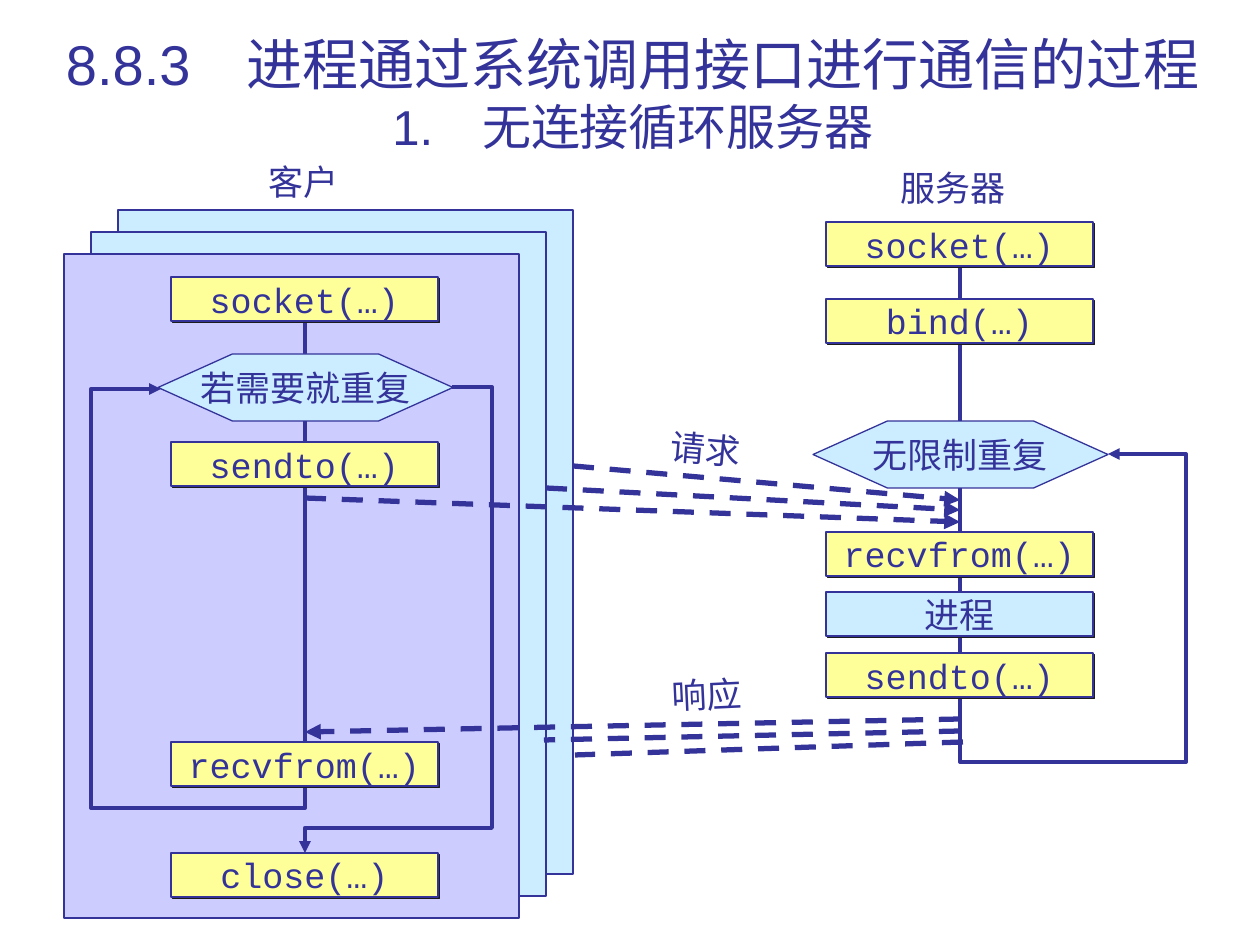
"""Build the slide on connectionless iterative server system calls."""
from lxml.etree import SubElement
from pptx import Presentation
from pptx.dml.color import RGBColor
from pptx.enum.dml import MSO_LINE
from pptx.enum.shapes import MSO_CONNECTOR, MSO_SHAPE
from pptx.enum.text import MSO_ANCHOR, MSO_AUTO_SIZE, PP_ALIGN
from pptx.oxml.ns import qn
from pptx.util import Pt

PX = 914400 / 126
NAVY = RGBColor(0x33, 0x33, 0x99)
YELLOW = RGBColor(0xFF, 0xFF, 0x99)
SKY = RGBColor(0xCC, 0xEC, 0xFF)
LAVENDER = RGBColor(0xCC, 0xCC, 0xFF)
SHADOW = RGBColor(0x1C, 0x1C, 0x1C)


def write(frame, text, sizes=(20,), font="Courier New", align=PP_ALIGN.CENTER,
          anchor=MSO_ANCHOR.MIDDLE, wrap=False):
    frame.word_wrap = wrap
    frame.auto_size = MSO_AUTO_SIZE.NONE
    frame.vertical_anchor = anchor
    paragraph = frame.paragraphs[0]
    paragraph.alignment = align
    for number, (line, size) in enumerate(zip(text.split("\n"), sizes)):
        if number:
            paragraph.add_line_break()
        run = paragraph.add_run()
        run.text = line
        run.font.size = Pt(size)
        run.font.name = font
        run.font.color.rgb = NAVY


def stroke(shape, width, arrow=False):
    shape.line.color.rgb = NAVY
    shape.line.width = Pt(width)
    if arrow:
        SubElement(shape.line._get_or_add_ln(), qn("a:tailEnd"), type="triangle")


prs = Presentation()
prs.slide_width, prs.slide_height = round(1260 * PX), round(945 * PX)
slide = prs.slides.add_slide(prs.slide_layouts[5])
shapes = slide.shapes

title = shapes.title
title.left, title.top, title.width, title.height = [
    round(v * PX) for v in (34, 26, 1198, 136)]
write(title.text_frame, "8.8.3　进程通过系统调用接口进行通信的过程\n1.　无连接循环服务器",
      sizes=(32, 28), font="Arial", anchor=MSO_ANCHOR.BOTTOM, wrap=True)

for left, top, color in ((118, 210, SKY), (91, 232, SKY), (64, 254, LAVENDER)):
    client_panel = shapes.add_shape(
        MSO_SHAPE.RECTANGLE, *[round(v * PX) for v in (left, top, 455, 664)])
    client_panel.shadow.inherit = False
    client_panel.fill.solid()
    client_panel.fill.fore_color.rgb = color
    stroke(client_panel, 0.75)

CLIENT_X, SERVER_X = 305, 960
flows = (
    ((CLIENT_X, 321), (CLIENT_X, 808), (91, 808), (91, 389), (161, 389)),
    ((SERVER_X, 267), (SERVER_X, 762), (1186, 762), (1186, 454), (1108, 454)),
    ((452, 387), (492, 387), (492, 828), (CLIENT_X, 828), (CLIENT_X, 853)),
)
for start, *corners in flows:
    builder = shapes.build_freeform(*start, scale=PX)
    builder.add_line_segments(corners, close=False)
    flow = builder.convert_to_shape()
    flow.shadow.inherit = False
    flow.fill.background()
    stroke(flow, 2.25, arrow=True)

calls = (
    (CLIENT_X, 277, "socket(…)", YELLOW),
    (CLIENT_X, 442, "sendto(…)", YELLOW),
    (CLIENT_X, 742, "recvfrom(…)", YELLOW),
    (CLIENT_X, 853, "close(…)", YELLOW),
    (SERVER_X, 222, "socket(…)", YELLOW),
    (SERVER_X, 299, "bind(…)", YELLOW),
    (SERVER_X, 532, "recvfrom(…)", YELLOW),
    (SERVER_X, 592, "进程", SKY),
    (SERVER_X, 653, "sendto(…)", YELLOW),
)
for center, top, text, color in calls:
    call = shapes.add_shape(
        MSO_SHAPE.RECTANGLE, *[round(v * PX) for v in (center - 134, top, 267, 44)])
    call.shadow.inherit = False
    call.fill.solid()
    call.fill.fore_color.rgb = color
    stroke(call, 0.75)
    effects = call._element.spPr.find(qn("a:effectLst"))
    outer = SubElement(effects, qn("a:outerShdw"), dist=str(Pt(1.4)), dir="2700000",
                       algn="ctr", rotWithShape="0")
    SubElement(outer, qn("a:srgbClr"), val=str(SHADOW))
    write(call.text_frame, text)

for center, top, text in ((CLIENT_X, 354, "若需要就重复"), (SERVER_X, 421, "无限制重复")):
    loop = shapes.add_shape(
        MSO_SHAPE.HEXAGON, *[round(v * PX) for v in (center - 147, top, 295, 67)])
    loop.adjustments[0] = 1.11
    loop.shadow.inherit = False
    loop.fill.solid()
    loop.fill.fore_color.rgb = SKY
    stroke(loop, 0.75)
    write(loop.text_frame, text)

messages = (
    (CLIENT_X, 498, SERVER_X, 522, True),
    (546, 488, SERVER_X, 510, True),
    (573, 466, SERVER_X, 500, True),
    (SERVER_X, 719, CLIENT_X, 732, True),
    (SERVER_X, 731, 544, 740, False),
    (963, 742, 575, 755, False),
)
for *ends, arrow in messages:
    message = shapes.add_connector(MSO_CONNECTOR.STRAIGHT, *[round(v * PX) for v in ends])
    message.line.dash_style = MSO_LINE.DASH
    stroke(message, 3, arrow)
    SubElement(message._element.spPr, qn("a:effectLst"))

labels = (
    (256, 154, 94, "客户", 0),
    (888, 160, 130, "服务器", 0),
    (658, 421, 94, "请求", 5.1),
    (659, 667, 94, "响应", -2.8),
)
for left, top, width, text, angle in labels:
    label = shapes.add_textbox(*[round(v * PX) for v in (left, top, width, 55)])
    label.rotation = angle
    write(label.text_frame, text, align=PP_ALIGN.LEFT, anchor=MSO_ANCHOR.TOP)

prs.save("out.pptx")
